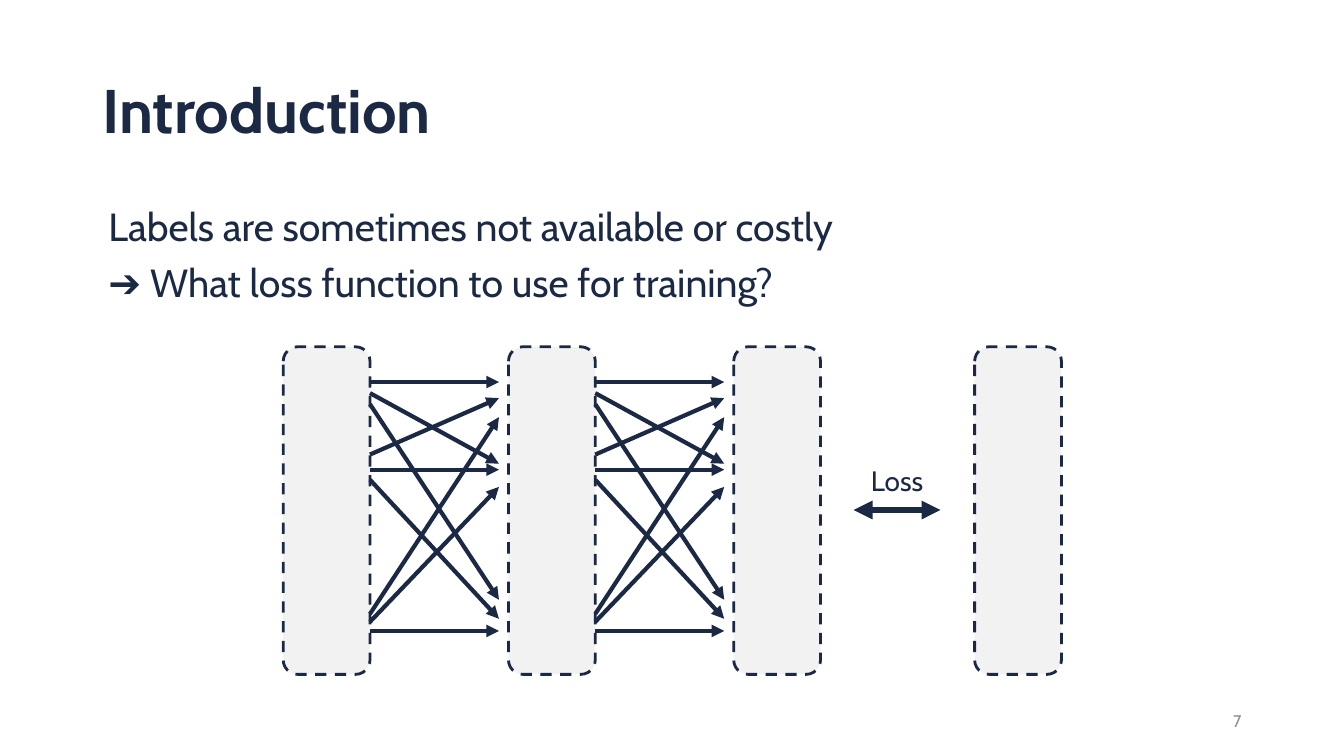
from lxml import etree
from pptx import Presentation
from pptx.dml.color import RGBColor
from pptx.enum import dml, shapes, text
from pptx.oxml.ns import qn
from pptx.util import Pt

NAVY = RGBColor(0x1B, 0x29, 0x44)
PALE = RGBColor(0xF2, 0xF2, 0xF2)
GREY = RGBColor(0x89, 0x8B, 0x91)
FONT = "Cabin"

TITLE = "Introduction"
LINES = ["Labels are sometimes not available or costly",
         "➔ What loss function to use for training?"]
LOSS = "Loss"
PAGE = "7"

# Layers: three evenly spaced, then the target
LEFT, PITCH, TOP, WIDE, HIGH = 202.3, 160.9, 247.7, 62, 234
NET = [LEFT + i * PITCH for i in range(3)]
TARGET = 696.2
SPAN = 92.1
# Start and end heights of the arrows between two layers
LINKS = [(272.9, 272.9), (280.8, 331.2), (288.7, 428.4),
         (324.7, 284.4), (335.5, 335.5), (342.7, 442),
         (438.5, 298), (444.2, 347.8), (450.7, 450.7)]


def style(para, size, color, align, bold=False):
    para.alignment = align
    font = para.font
    font.name, font.size, font.bold = FONT, Pt(size), bold
    font.color.rgb = color


def place(item, left, top, wide, high):
    item.left, item.top = Pt(left), Pt(top)
    item.width, item.height = Pt(wide), Pt(high)


def label(slide, words, box, size, color, align):
    frame = slide.shapes.add_textbox(*map(Pt, box)).text_frame
    frame.word_wrap = True
    frame.vertical_anchor = text.MSO_ANCHOR.MIDDLE
    frame.text = words
    style(frame.paragraphs[0], size, color, align)


def layer(slide, left):
    box = slide.shapes.add_shape(shapes.MSO_SHAPE.ROUNDED_RECTANGLE,
                                 Pt(left), Pt(TOP), Pt(WIDE), Pt(HIGH))
    box.shadow.inherit = False
    box.fill.solid()
    box.fill.fore_color.rgb = PALE
    box.line.color.rgb = NAVY
    box.line.width = Pt(2)
    box.line.dash_style = dml.MSO_LINE.DASH


def arrow(slide, start, end, width, tips):
    line = slide.shapes.add_connector(shapes.MSO_CONNECTOR.STRAIGHT,
                                      *map(Pt, start + end))
    line.line.color.rgb = NAVY
    line.line.width = Pt(width)
    props = line.line._get_or_add_ln()
    for tip in tips:
        etree.SubElement(props, qn("a:" + tip), type="triangle")
    etree.SubElement(props.getparent(), qn("a:effectLst"))


def write(slide):
    """Fill the title, the body and the page number."""
    left = text.PP_ALIGN.LEFT
    title, body = slide.shapes.title, slide.placeholders[1]
    place(title, 66, 28.8, 828, 104.4)
    place(body, 66, 144.7, 828, 336.2)
    title.text_frame.text = TITLE
    title.text_frame.vertical_anchor = text.MSO_ANCHOR.MIDDLE
    head = title.text_frame.paragraphs[0]
    head.line_spacing = 0.9
    style(head, 44, NAVY, left, True)

    frame = body.text_frame
    frame.text = "\n".join(LINES)
    frame.auto_size = text.MSO_AUTO_SIZE.NONE
    for i, para in enumerate(frame.paragraphs):
        props = para._p.get_or_add_pPr()
        props.set("marL", str(Pt(4.3)))
        props.set("indent", "0")
        etree.SubElement(props, qn("a:buNone"))
        para.line_spacing = 0.9
        para.space_before = Pt(10 if i else 0)
        style(para, 28, NAVY, left)
    label(slide, PAGE, (678, 500.4, 216, 28.8), 12, GREY, text.PP_ALIGN.RIGHT)


def draw(slide):
    """Draw the network, the target and the loss between them."""
    for left in NET + [TARGET]:
        layer(slide, left)
    for left in NET[:-1]:
        edge = left + WIDE
        for start, end in LINKS:
            arrow(slide, (edge, start), (edge + SPAN, end), 3, ["tailEnd"])
    arrow(slide, (609.8, 364.3), (671.8, 364.3), 4.5, ["headEnd", "tailEnd"])
    label(slide, LOSS, (605.8, 326.9, 70, 31.7), 20, NAVY, text.PP_ALIGN.CENTER)


def main():
    deck = Presentation()
    deck.slide_width, deck.slide_height = Pt(960), Pt(540)
    slide = deck.slides.add_slide(deck.slide_layouts[1])
    write(slide)
    draw(slide)
    deck.save("out.pptx")


if __name__ == "__main__":
    main()
